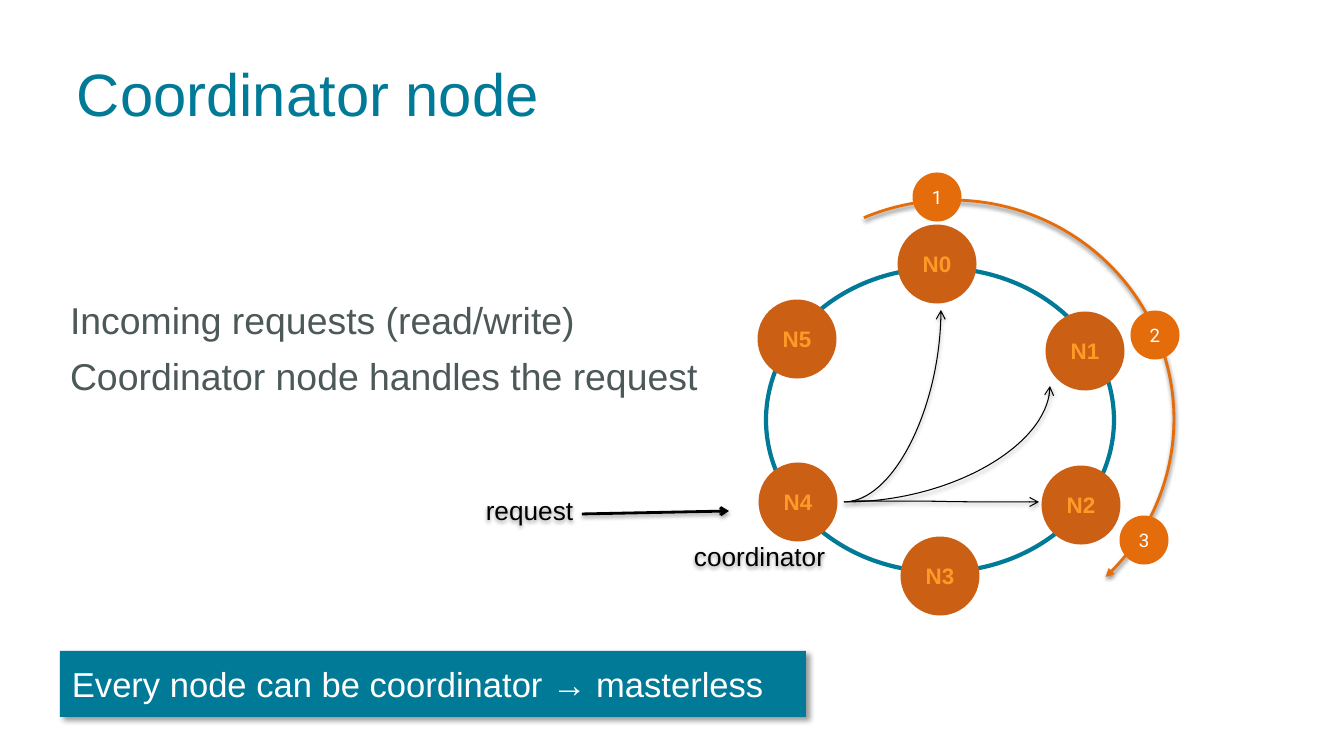
import pptx
import pptx.dml.color
import pptx.enum.shapes
import pptx.enum.text
import pptx.oxml
import pptx.oxml.ns
import pptx.util

SHAPE = pptx.enum.shapes.MSO_SHAPE
CONNECTOR = pptx.enum.shapes.MSO_CONNECTOR
ALIGN = pptx.enum.text.PP_ALIGN
ANCHOR = pptx.enum.text.MSO_ANCHOR

# Content: boxes are left, top, width, height in px
COLORS = {"teal": "007A97", "gray": "4C5958", "white": "FFFFFF", "black": "000000",
          "orange": "E46C0A", "node": "CB6015", "node_text": "FF9927"}
TITLE = "Coordinator node"
BODY = ["Incoming requests (read/write)", "Coordinator node handles the request"]
BANNER = "Every node can be coordinator → masterless"
LABELS = [("request", (449, 489, 161, 42)), ("coordinator", (679, 535, 161, 42))]
NODES = [("N1", (1085, 351)), ("N5", (797, 339)), ("N3", (940, 576)),
         ("N0", (937, 264)), ("N2", (1081, 505)), ("N4", (798, 502))]
STEPS = [("1", (937, 197)), ("2", (1155, 335)), ("3", (1144, 540))]
# Start, end, connector kind, preset geometry, line width
ARROWS = [((582, 514), (729, 511), CONNECTOR.STRAIGHT, "line", 2),
          ((844, 502), (1050, 386), CONNECTOR.CURVE, "curvedConnector2", 0.75),
          ((852, 501), (1039, 502), CONNECTOR.CURVE, "curvedConnector3", 0.75),
          ((844, 502), (941, 310), CONNECTOR.CURVE, "curvedConnector2", 0.75)]
RING = (766, 268, 348, 304)
ORBIT = (729, 200, 445, 438)
ORBIT_ANGLES = (246.5, 45.7)
NODE_SIZE, STEP_SIZE = 79, 49
# Opacity %, blur pt, distance pt, direction in degrees
BANNER_SHADOW = (40, 4, 3, 45)
ORBIT_SHADOW = (50, 3, 2, 90)
LINE_SHADOW = (38, 3.1, 1.6, 90)


def px(value):
    return pptx.util.Emu(round(value * 914400 / 100.8))


def box(values):
    return [px(value) for value in values]


def centered(center, size):
    return (center[0] - size / 2, center[1] - size / 2, size, size)


def color(name):
    return pptx.dml.color.RGBColor.from_string(COLORS[name])


def append_xml(parent, xml):
    namespace = pptx.oxml.ns.nsdecls("a")
    parent.append(pptx.oxml.parse_xml(xml.replace("NS", namespace, 1)))


def add_shadow(shape, shadow):
    opacity, blur, distance, direction = shadow
    append_xml(shape._element.spPr, (
        f'<a:effectLst NS><a:outerShdw blurRad="{pptx.util.Pt(blur)}" '
        f'dist="{pptx.util.Pt(distance)}" dir="{direction * 60000}" rotWithShape="0">'
        f'<a:srgbClr val="{COLORS["black"]}"><a:alpha val="{opacity * 1000}"/></a:srgbClr>'
        '</a:outerShdw></a:effectLst>'))


def style_line(shape, name, width, arrow=None):
    shape.line.color.rgb = color(name)
    shape.line.width = pptx.util.Pt(width)
    if arrow:
        append_xml(shape.line._get_or_add_ln(), f'<a:tailEnd NS type="{arrow}"/>')


def write(shape, lines, size, name, font="Arial", bold=False, align=ALIGN.LEFT,
          anchor=ANCHOR.TOP, before=0, insets=(10, 5)):
    frame = shape.text_frame
    frame.auto_size = pptx.enum.text.MSO_AUTO_SIZE.NONE
    frame.word_wrap = True
    frame.vertical_anchor = anchor
    frame.margin_left = frame.margin_right = px(insets[0])
    frame.margin_top = frame.margin_bottom = px(insets[1])
    for index, text in enumerate(lines):
        paragraph = frame.add_paragraph() if index else frame.paragraphs[0]
        paragraph.alignment = align
        paragraph.space_before = pptx.util.Pt(before)
        run = paragraph.add_run()
        run.text = text
        run.font.name = font
        run.font.size = pptx.util.Pt(size)
        run.font.bold = bold
        run.font.color.rgb = color(name)


def add_shape(kind, place, fill=None, shadow=None):
    shape = slide.shapes.add_shape(kind, *box(place))
    if fill:
        shape.fill.solid()
        shape.fill.fore_color.rgb = color(fill)
        shape.line.fill.background()
    else:
        shape.fill.background()
    if shadow:
        add_shadow(shape, shadow)
    else:
        shape.shadow.inherit = False
    return shape


presentation = pptx.Presentation()
presentation.slide_width, presentation.slide_height = box((1344, 756))
slide = presentation.slides.add_slide(presentation.slide_layouts[5])

# Title, body and banner
title = slide.shapes.title
title.left, title.top, title.width, title.height = box((67, 30, 1210, 126))
write(title, [TITLE], 42.7, "teal", anchor=ANCHOR.MIDDLE)
body = slide.shapes.add_textbox(*box((60, 292, 693, 215)))
write(body, BODY, 26.7, "gray", before=8)
banner = add_shape(SHAPE.RECTANGLE, (60, 651, 746, 66), "teal", BANNER_SHADOW)
write(banner, [BANNER], 24.7, "white", before=6, insets=(12, 12))

# Replica order around the ring
orbit = add_shape(SHAPE.ARC, ORBIT)
for index, angle in enumerate(ORBIT_ANGLES):
    orbit.adjustments[index] = angle * 0.6
style_line(orbit, "orange", 2, "triangle")
orbit._element.spPr.remove(orbit._element.spPr.find(pptx.oxml.ns.qn("a:effectLst")))
add_shadow(orbit, ORBIT_SHADOW)
for text, center in STEPS:
    step = add_shape(SHAPE.OVAL, centered(center, STEP_SIZE), "orange")
    write(step, [text], 13.3, "white", "Roboto", align=ALIGN.CENTER, anchor=ANCHOR.MIDDLE)

# Labels and request arrows
for text, place in LABELS:
    label = slide.shapes.add_textbox(*box(place))
    write(label, [text], 18.7, "black", align=ALIGN.CENTER)
    add_shadow(label, LINE_SHADOW)
for start, end, kind, geometry, width in ARROWS:
    arrow = slide.shapes.add_connector(kind, *box(start + end))
    arrow._element.spPr.find(pptx.oxml.ns.qn("a:prstGeom")).set("prst", geometry)
    style_line(arrow, "black", width, "arrow")
    add_shadow(arrow, LINE_SHADOW)

# Ring of nodes
ring = add_shape(SHAPE.OVAL, RING)
style_line(ring, "teal", 3)
for text, center in NODES:
    node = add_shape(SHAPE.OVAL, centered(center, NODE_SIZE), "node")
    write(node, [text], 16, "node_text", bold=True, align=ALIGN.CENTER,
          anchor=ANCHOR.MIDDLE, insets=(13, 7))

presentation.save("out.pptx")
